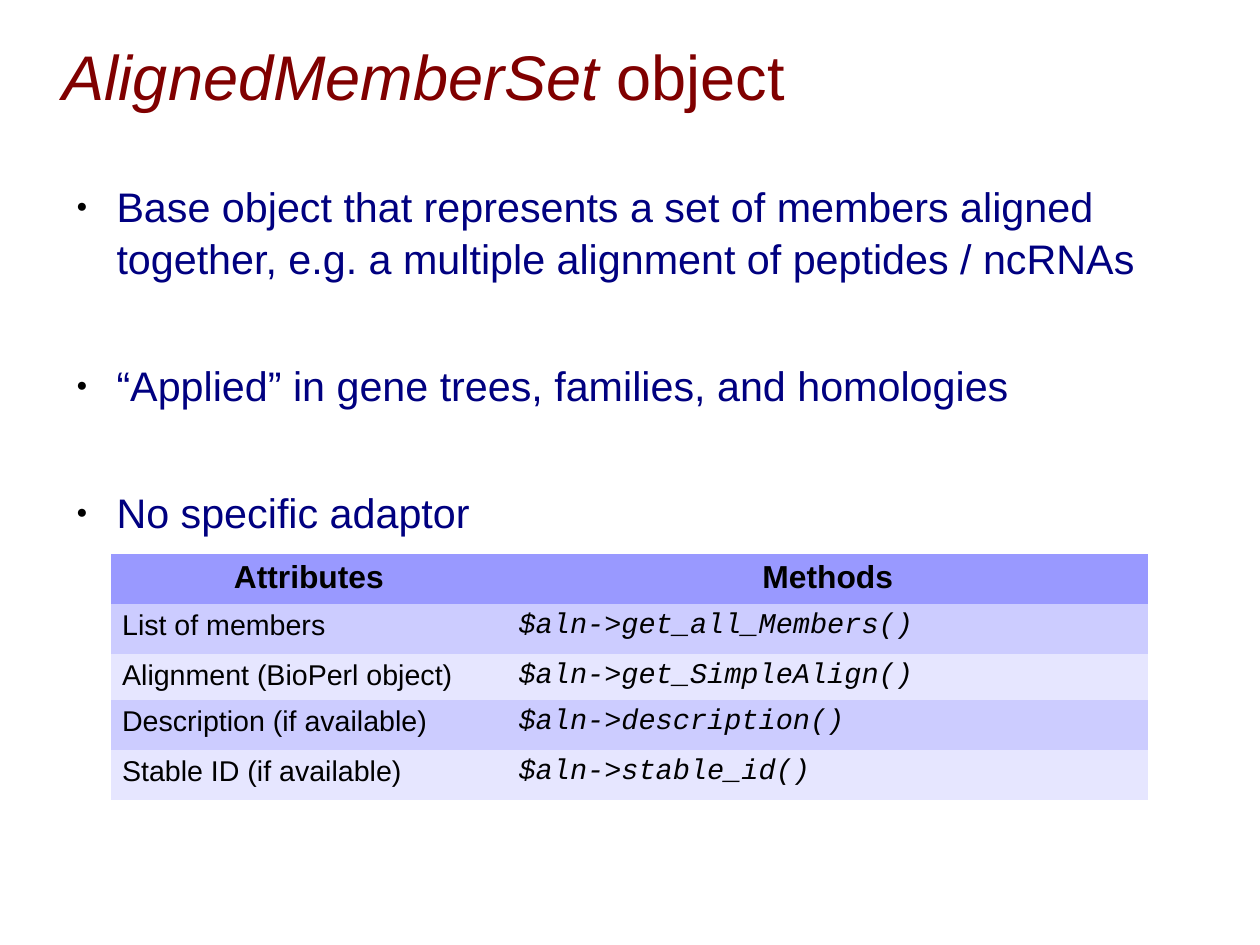
from lxml.etree import SubElement
from pptx import Presentation
from pptx.dml.color import RGBColor
from pptx.enum.text import MSO_ANCHOR as Anchor, MSO_AUTO_SIZE as AutoSize, PP_ALIGN as Align
from pptx.oxml.ns import qn
from pptx.util import Cm, Pt

MAROON = RGBColor(0x80, 0x00, 0x00)
NAVY = RGBColor(0x00, 0x00, 0x80)
BLACK = RGBColor(0x00, 0x00, 0x00)
HEADER_FILL = RGBColor(0x99, 0x99, 0xFF)
ROW_FILLS = [RGBColor(0xCC, 0xCC, 0xFF), RGBColor(0xE6, 0xE6, 0xFF)]
PLAIN_TABLE_STYLE = "{2D5ABB26-0587-4C30-8999-92F81FD0307C}"

TITLE_FONT = {"name": "Arial", "size": Pt(39.7), "color": MAROON}
POINT_FONT = {"name": "Arial", "size": Pt(26), "color": NAVY}
HEADER_FONT = {"name": "Arial", "size": Pt(20), "color": BLACK, "bold": True}
LABEL_FONT = {"name": "Arial", "size": Pt(18), "color": BLACK, "bold": False}
CODE_FONT = LABEL_FONT | {"name": "Courier New", "italic": True}

POINTS = [
    "Base object that represents a set of members aligned together, "
    "e.g. a multiple alignment of peptides / ncRNAs",
    "“Applied” in gene trees, families, and homologies",
    "No specific adaptor",
]
HEADINGS = ["Attributes", "Methods"]
METHODS = [
    ("List of members", "$aln->get_all_Members()"),
    ("Alignment (BioPerl object)", "$aln->get_SimpleAlign()"),
    ("Description (if available)", "$aln->description()"),
    ("Stable ID (if available)", "$aln->stable_id()"),
]


class ObjectSlide:
    def __init__(self, deck):
        self.slide = deck.slides.add_slide(deck.slide_layouts[5])

    def add_text(self, paragraph, text, style):
        run = paragraph.add_run()
        run.text = text
        for key, value in style.items():
            if key == "color":
                run.font.color.rgb = value
            else:
                setattr(run.font, key, value)

    def set_frame(self, frame):
        layout = {"word_wrap": True, "auto_size": AutoSize.NONE,
                  "vertical_anchor": Anchor.TOP, "margin_left": 0,
                  "margin_top": 0, "margin_right": 0, "margin_bottom": 0}
        for key, value in layout.items():
            setattr(frame, key, value)

    def title(self, pieces, **place):
        heading = self.slide.shapes.title
        for key, value in place.items():
            setattr(heading, key, value)
        self.set_frame(heading.text_frame)
        line = heading.text_frame.paragraphs[0]
        line.alignment = Align.LEFT
        for text, italic in pieces:
            self.add_text(line, text, TITLE_FONT | {"italic": italic})

    def bullets(self, points, left, top, width, height):
        frame = self.slide.shapes.add_textbox(left, top, width, height).text_frame
        self.set_frame(frame)
        for index, text in enumerate(points):
            point = frame.add_paragraph() if index else frame.paragraphs[0]
            point.line_spacing = 1.04
            point.space_after = Pt(47.8)
            self.add_bullet(point)
            self.add_text(point, text, POINT_FONT)

    def add_bullet(self, point):
        # Small black dot with a hanging indent
        props = point._p.get_or_add_pPr()
        props.set("marL", str(Cm(1.19)))
        props.set("indent", str(-Cm(0.89)))
        color = SubElement(props, qn("a:buClr"))
        SubElement(color, qn("a:srgbClr"), val=str(BLACK))
        SubElement(props, qn("a:buSzPct"), val="45000")
        SubElement(props, qn("a:buFont"), typeface="Arial")
        SubElement(props, qn("a:buChar"), char="●")

    def table(self, headings, rows, left, top, widths, heights):
        grid = self.slide.shapes.add_table(
            len(heights), len(widths), left, top, sum(widths), sum(heights)).table
        grid._tbl.tblPr.find(qn("a:tableStyleId")).text = PLAIN_TABLE_STYLE
        for column, width in zip(grid.columns, widths):
            column.width = width
        for row, height in zip(grid.rows, heights):
            row.height = height
        for r, texts in enumerate([headings, *rows]):
            fill = ROW_FILLS[(r - 1) % 2] if r else HEADER_FILL
            styles = [LABEL_FONT, CODE_FONT] if r else [HEADER_FONT] * 2
            for c, (text, style) in enumerate(zip(texts, styles)):
                cell = grid.cell(r, c)
                cell.fill.solid()
                cell.fill.fore_color.rgb = fill
                line = cell.text_frame.paragraphs[0]
                line.alignment = Align.LEFT if r else Align.CENTER
                self.add_text(line, text, style)


def main():
    deck = Presentation()
    deck.slide_width, deck.slide_height = Cm(28), Cm(21)
    page = ObjectSlide(deck)

    # Title
    page.title([("AlignedMemberSet", True), (" object", False)],
               left=Cm(1.4), top=Cm(0.84), width=Cm(25.2), height=Cm(3.5))

    # Key points
    page.bullets(POINTS, Cm(1.4), Cm(3.99), Cm(25.6), Cm(12.3))

    # Attributes and their methods
    page.table(HEADINGS, METHODS, Cm(2.46), Cm(12.31),
               widths=[Cm(8.81), Cm(14.25)],
               heights=[Cm(h) for h in (1.11, 1.11, 1.03, 1.11, 1.11)])

    deck.save("out.pptx")


if __name__ == "__main__":
    main()
